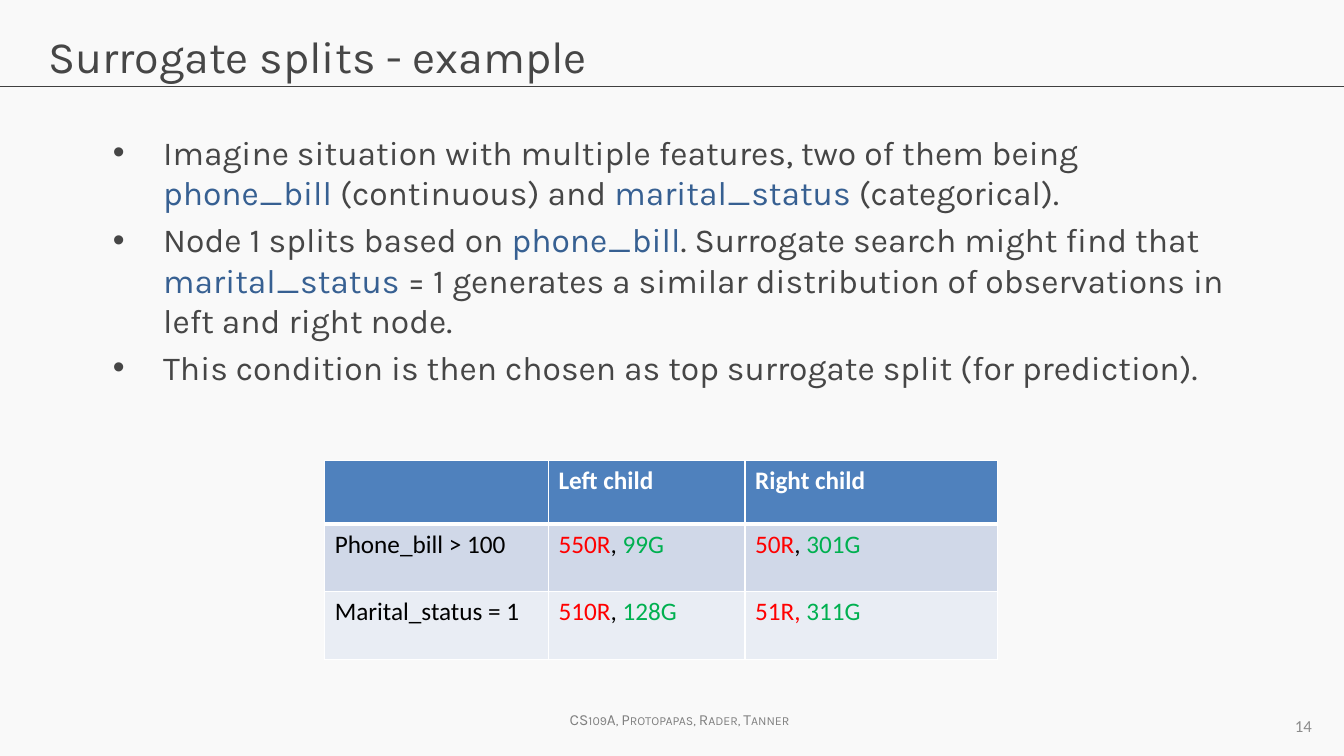
import dataclasses

import lxml.etree
import pptx
import pptx.dml.color
import pptx.enum.shapes
import pptx.enum.text
import pptx.oxml.ns
import pptx.util

Inches = pptx.util.Inches
Pt = pptx.util.Pt
qn = pptx.oxml.ns.qn
Align = pptx.enum.text.PP_ALIGN
Anchor = pptx.enum.text.MSO_ANCHOR


@dataclasses.dataclass(frozen=True)
class Theme:
    """Colours, fonts and type sizes of the slide."""
    background: str = "F9F9F9"
    text: str = "464646"
    feature: str = "376092"
    rule: str = "404040"
    credit: str = "808080"
    number: str = "8C8C8C"
    white: str = "FFFFFF"
    black: str = "000000"
    red: str = "FF0000"
    green: str = "00B050"
    header: str = "4F81BD"
    bands: tuple = ("D0D8E8", "E9EDF4")
    main_font: str = "Karla"
    table_font: str = "Calibri"
    title_size: int = 32
    body_size: int = 24
    table_size: int = 18
    number_size: int = 12
    credit_size: int = 11


THEME = Theme()


def rgb(colour):
    """Return an RGB colour from its hex code."""
    return pptx.dml.color.RGBColor.from_string(colour)


def write(paragraph, pieces, *, size, colour, font=THEME.main_font, bold=False,
          align=Align.LEFT, small_caps=False):
    """Write text, or (text, colour) pieces, into a paragraph."""
    paragraph.alignment = align
    if isinstance(pieces, str):
        pieces = [(pieces, colour)]
    for words, piece_colour in pieces:
        run = paragraph.add_run()
        run.text = words
        run.font.name = font
        run.font.size = Pt(size)
        run.font.bold = bold
        run.font.color.rgb = rgb(piece_colour)
        if small_caps:
            run.font._element.set("cap", "small")


def add_frame(slide, box, anchor=Anchor.TOP, wrap=True):
    """Add an empty text box and return its text frame."""
    frame = slide.shapes.add_textbox(*map(Inches, box)).text_frame
    frame.word_wrap = wrap
    frame.vertical_anchor = anchor
    return frame


def add_bullet(paragraph, indent):
    """Give a paragraph a round bullet with a hanging indent."""
    properties = paragraph._p.get_or_add_pPr()
    properties.set("marL", str(Inches(indent)))
    properties.set("indent", str(-Inches(indent)))
    lxml.etree.SubElement(properties, qn("a:buFont")).set("typeface", "Arial")
    lxml.etree.SubElement(properties, qn("a:buChar")).set("char", "•")


def add_heading(slide, box, title, rule_y, rule_width):
    """Place the title and the rule across the slide."""
    rule = slide.shapes.add_connector(
        pptx.enum.shapes.MSO_CONNECTOR.STRAIGHT,
        0, Inches(rule_y), Inches(rule_width), Inches(rule_y))
    rule.line.color.rgb = rgb(THEME.rule)
    rule.line.width = Pt(0.75)
    lxml.etree.SubElement(rule._element.spPr, qn("a:effectLst"))
    write(add_frame(slide, box).paragraphs[0], title,
          size=THEME.title_size, colour=THEME.text)


def add_body(slide, box, points):
    """Place the bulleted points."""
    frame = add_frame(slide, box)
    for index, point in enumerate(points):
        paragraph = frame.add_paragraph() if index else frame.paragraphs[0]
        if index:
            paragraph.space_before = Pt(0.2 * THEME.body_size)
        add_bullet(paragraph, 0.5)
        write(paragraph, point, size=THEME.body_size, colour=THEME.text)


def add_borders(cell, bottom_width):
    """Draw white borders around a table cell."""
    properties = cell._tc.get_or_add_tcPr()
    widths = {"a:lnL": 1, "a:lnR": 1, "a:lnT": 1, "a:lnB": bottom_width}
    for position, (side, width) in enumerate(widths.items()):
        border = lxml.etree.Element(qn(side), w=str(Pt(width)))
        fill = lxml.etree.SubElement(border, qn("a:solidFill"))
        lxml.etree.SubElement(fill, qn("a:srgbClr")).set("val", THEME.white)
        properties.insert(position, border)


def add_split_table(slide, box, rows, column_widths, row_heights):
    """Place the table that compares the splits."""
    table = slide.shapes.add_table(
        len(rows), len(column_widths), *map(Inches, box)).table
    for column, width in zip(table.columns, column_widths):
        column.width = Inches(width)
    for row_index, (row, height) in enumerate(zip(rows, row_heights)):
        table.rows[row_index].height = Inches(height)
        is_header = row_index == 0
        fill = THEME.header if is_header else THEME.bands[row_index - 1]
        for column_index, content in enumerate(row):
            cell = table.cell(row_index, column_index)
            cell.fill.solid()
            cell.fill.fore_color.rgb = rgb(fill)
            add_borders(cell, 3 if is_header else 1)
            if content:
                write(cell.text_frame.paragraphs[0], content,
                      size=THEME.table_size, font=THEME.table_font, bold=is_header,
                      colour=THEME.white if is_header else THEME.black)


def add_footer(slide, credit_box, number_box, credit, number):
    """Place the course credit and the slide number."""
    write(add_frame(slide, credit_box, wrap=False).paragraphs[0], credit,
          size=THEME.credit_size, colour=THEME.credit,
          align=Align.CENTER, small_caps=True)
    write(add_frame(slide, number_box, Anchor.MIDDLE).paragraphs[0], number,
          size=THEME.number_size, colour=THEME.number,
          font=THEME.table_font, align=Align.RIGHT)


def main():
    """Build and save the slide."""
    deck = pptx.Presentation()
    deck.slide_width, deck.slide_height = Inches(13.33), Inches(7.5)
    slide = deck.slides.add_slide(deck.slide_layouts[6])
    slide.background.fill.solid()
    slide.background.fill.fore_color.rgb = rgb(THEME.background)

    plain, feature = THEME.text, THEME.feature
    red, green, black = THEME.red, THEME.green, THEME.black
    points = [
        [("Imagine situation with multiple features, two of them being ", plain),
         ("phone_bill ", feature), ("(continuous) and ", plain),
         ("marital_status ", feature), ("(categorical).", plain)],
        [("Node 1 splits based on ", plain), ("phone_bill", feature),
         (". Surrogate search might find that ", plain),
         ("marital_status ", feature),
         ("= 1 generates a similar distribution of observations in "
          "left and right node.", plain)],
        "This condition is then chosen as top surrogate split (for prediction).",
    ]
    rows = [
        ["", "Left child", "Right child"],
        ["Phone_bill > 100",
         [("550R", red), (", ", black), ("99G", green)],
         [("50R", red), (", ", black), ("301G", green)]],
        ["Marital_status = 1",
         [("510R", red), (", ", black), ("128G", green)],
         [("51R, ", red), ("311G", green)]],
    ]
    add_heading(slide, (0.38, 0.24, 12.57, 0.84), "Surrogate splits - example",
                0.86, 13.33)
    add_footer(slide, (5.49, 7, 2.5, 0.29), (10, 7, 3.11, 0.4),
               "CS109A, Protopapas, Rader, Tanner", "14")
    add_body(slide, (1.02, 1.26, 11.29, 5.25), points)
    add_split_table(slide, (3.22, 4.57, 6.67, 1.97), rows,
                    (2.22, 1.95, 2.5), (0.63, 0.67, 0.67))
    deck.save("out.pptx")


if __name__ == "__main__":
    main()
